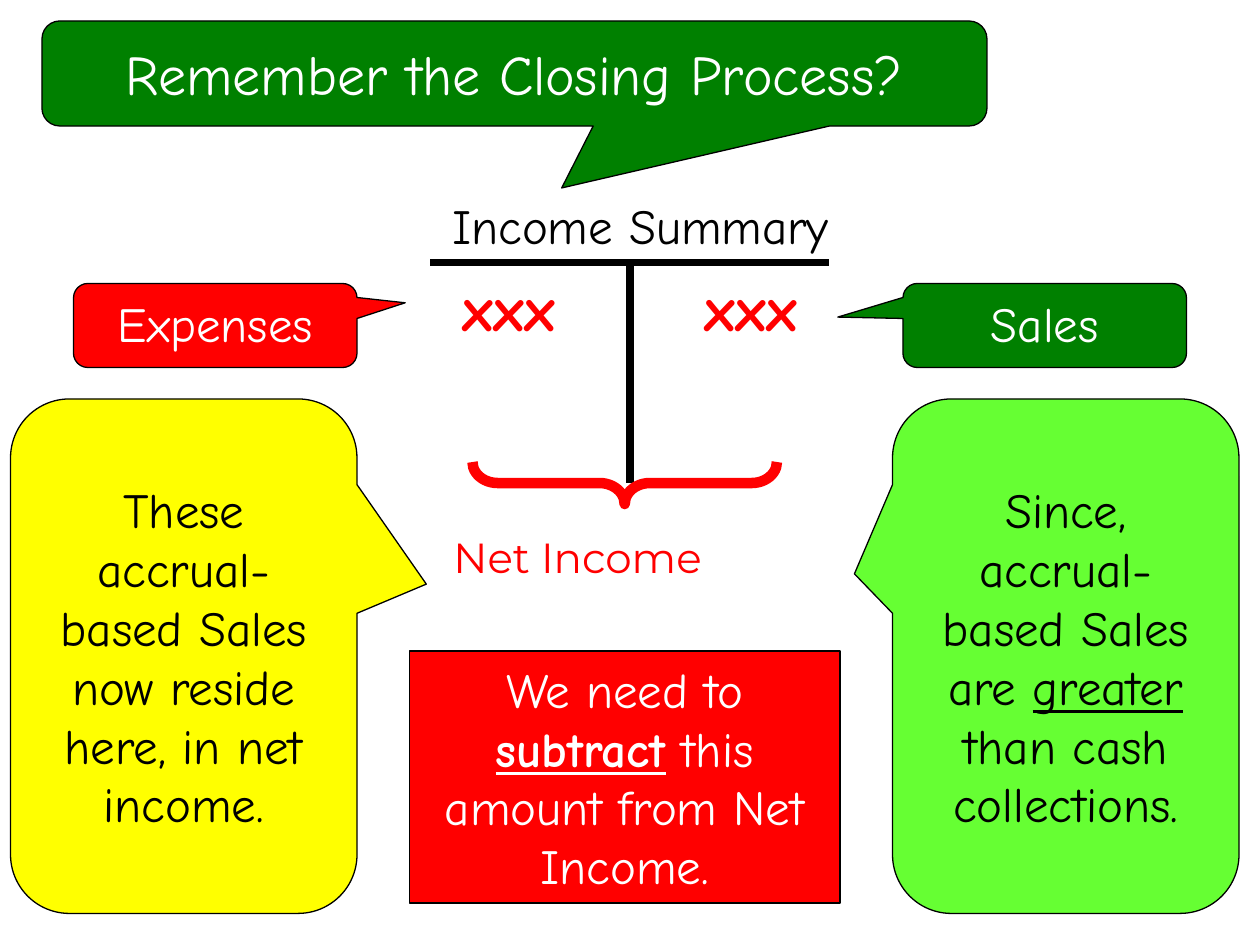
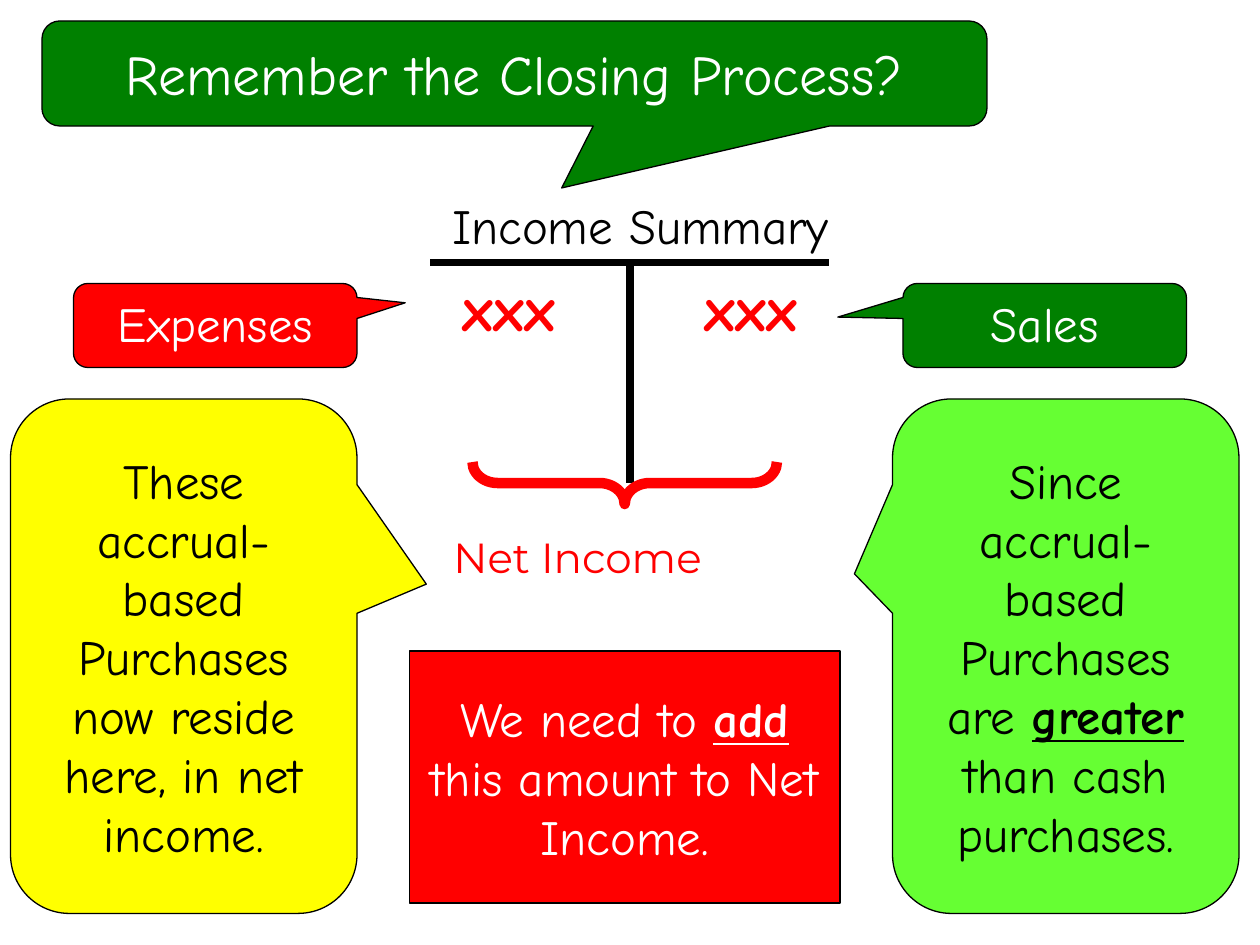
from dataclasses import dataclass

import pptx
import pptx.dml.color
import pptx.enum.shapes
import pptx.enum.text
import pptx.oxml.ns
import pptx.util
from lxml import etree

Pt = pptx.util.Pt
SHAPES = pptx.enum.shapes.MSO_SHAPE
ALIGN = pptx.enum.text.PP_ALIGN
ANCHOR = pptx.enum.text.MSO_ANCHOR
AUTO_SIZE = pptx.enum.text.MSO_AUTO_SIZE


@dataclass(frozen=True)
class Theme:
    black: str = "000000"
    white: str = "FFFFFF"
    red: str = "FF0000"
    green: str = "008000"
    lime: str = "66FF33"
    yellow: str = "FFFF00"
    hand_font: str = "Comic Neue"
    label_font: str = "Montserrat"
    title_size: float = 32
    amount_size: float = 36
    body_size: float = 28
    label_size: float = 24
    outline: float = 0.75
    account_rule: float = 4.5
    brace_rule: float = 6


BOLD = {"bold": True}
UNDERLINED = {"underline": True}
STRONG = BOLD | UNDERLINED


def rgb(color):
    return pptx.dml.color.RGBColor.from_string(color)


def set_all(target, values):
    for name, value in values.items():
        setattr(target, name, value)


class Deck:
    """Holds the theme, the current slide and the shape tree being filled."""

    def __init__(self, theme):
        self.theme = theme
        self.presentation = pptx.Presentation()
        set_all(self.presentation, {"slide_width": Pt(720), "slide_height": Pt(540)})

    def new_slide(self):
        self.slide = self.presentation.slides.add_slide(self.presentation.slide_layouts[6])
        self.canvas = self.slide.shapes

    def start_group(self):
        self.canvas = self.slide.shapes.add_group_shape().shapes

    def end_group(self):
        self.canvas = self.slide.shapes

    def fill_text(self, shape, runs, color, size=None, font=None, align=ALIGN.CENTER, **frame):
        """Fill a shape with one paragraph of (text, font values) runs."""
        set_all(shape.text_frame, {"word_wrap": True} | frame)
        paragraph = shape.text_frame.paragraphs[0]
        paragraph.alignment = align
        base = {"name": font or self.theme.hand_font,
                "size": Pt(size or self.theme.body_size)}
        for text, emphasis in runs:
            run = paragraph.add_run()
            run.text = text
            set_all(run.font, base | emphasis)
            run.font.color.rgb = rgb(color)

    def text(self, box, runs, color, **style):
        self.fill_text(self.canvas.add_textbox(*map(Pt, box)), runs, color,
                       **{"vertical_anchor": ANCHOR.TOP} | style)

    def outline(self, shape, color, width):
        shape.line.color.rgb = rgb(color)
        shape.line.width = Pt(width)

    def panel(self, box, runs, fill, color, kind=SHAPES.RECTANGLE,
              vertical_anchor=ANCHOR.MIDDLE, **style):
        shape = self.canvas.add_shape(kind, *map(Pt, box))
        shape.shadow.inherit = False
        shape.fill.solid()
        shape.fill.fore_color.rgb = rgb(fill)
        self.outline(shape, self.theme.black, self.theme.outline)
        self.fill_text(shape, runs, color, vertical_anchor=vertical_anchor, **style)
        return shape

    def callout(self, box, tip, runs, fill, color, **style):
        """Draw a rounded callout; tip is its offset from the centre, in box sizes."""
        shape = self.panel(box, runs, fill, color, SHAPES.ROUNDED_RECTANGULAR_CALLOUT, **style)
        for index, value in enumerate((*tip, 0.17)):
            shape.adjustments[index] = value

    def line(self, *ends):
        connector = self.canvas.add_connector(
            pptx.enum.shapes.MSO_CONNECTOR.STRAIGHT, *map(Pt, ends))
        self.outline(connector, self.theme.black, self.theme.account_rule)
        etree.SubElement(connector._element.spPr, pptx.oxml.ns.qn("a:effectLst"))

    def brace_below(self, center_x, center_y, span, depth):
        """Draw a brace that opens upward: a left brace turned by a quarter."""
        brace = self.canvas.add_shape(
            SHAPES.LEFT_BRACE, Pt(center_x - depth / 2), Pt(center_y - span / 2),
            Pt(depth), Pt(span))
        brace.rotation = 270
        brace.adjustments[0] = 0.6
        brace.shadow.inherit = False
        brace.fill.background()
        self.outline(brace, self.theme.red, self.theme.brace_rule)


def add_account_side(deck, amount_left, label_left, tip, label, fill):
    theme = deck.theme
    deck.start_group()
    deck.text((amount_left, 150, 126, 50), [("xxx", BOLD)], theme.red,
              size=theme.amount_size, auto_size=AUTO_SIZE.SHAPE_TO_FIT_TEXT)
    deck.callout((label_left, 162, 162, 48), tip, [(label, {})], fill, theme.white,
                 vertical_anchor=ANCHOR.TOP)
    deck.end_group()


def add_closing_slide(deck, where, reason, adjustment):
    theme = deck.theme
    deck.new_slide()
    deck.line(246, 150, 474, 150)
    deck.line(360, 276, 360, 150)
    deck.text((216, 108, 300, 41), [("Income Summary", {})], theme.black,
              auto_size=AUTO_SIZE.SHAPE_TO_FIT_TEXT)
    deck.callout((24, 12, 540, 60), (0.05, 1.09),
                 [("Remember the Closing Process?", {})],
                 theme.green, theme.white, size=theme.title_size)
    add_account_side(deck, 366, 516, (-0.73, -0.1), "Sales", theme.green)
    add_account_side(deck, 228, 42, (0.67, -0.27), "Expenses", theme.red)
    deck.brace_below(357, 276, span=174, depth=24)
    deck.text((252, 300, 228, 51), [("Net Income", {})], theme.red,
              size=theme.label_size, font=theme.label_font,
              align=ALIGN.LEFT, word_wrap=False)
    deck.callout((6, 228, 198, 294), (0.7, -0.14), where, theme.yellow, theme.black)
    deck.callout((510, 228, 198, 294), (-0.61, -0.16), reason, theme.lime, theme.black)
    deck.panel((234, 372, 246, 144), adjustment, theme.red, theme.white)


def main():
    deck = Deck(Theme())
    add_closing_slide(
        deck,
        where=[("These accrual-based Sales now reside here, in net income.", {})],
        reason=[("Since, accrual-based Sales are ", {}), ("greater", UNDERLINED),
                (" than cash collections.", {})],
        adjustment=[("We need to ", {}), ("subtract", STRONG),
                    (" this amount from Net Income.", {})])
    add_closing_slide(
        deck,
        where=[("These accrual-based Purchases now reside here, in net income.", {})],
        reason=[("Since accrual-based Purchases are ", {}), ("greater", STRONG),
                (" than cash purchases.", {})],
        adjustment=[("We need to ", {}), ("add", STRONG),
                    (" this amount to Net Income.", {})])
    deck.presentation.save("out.pptx")


if __name__ == "__main__":
    main()
